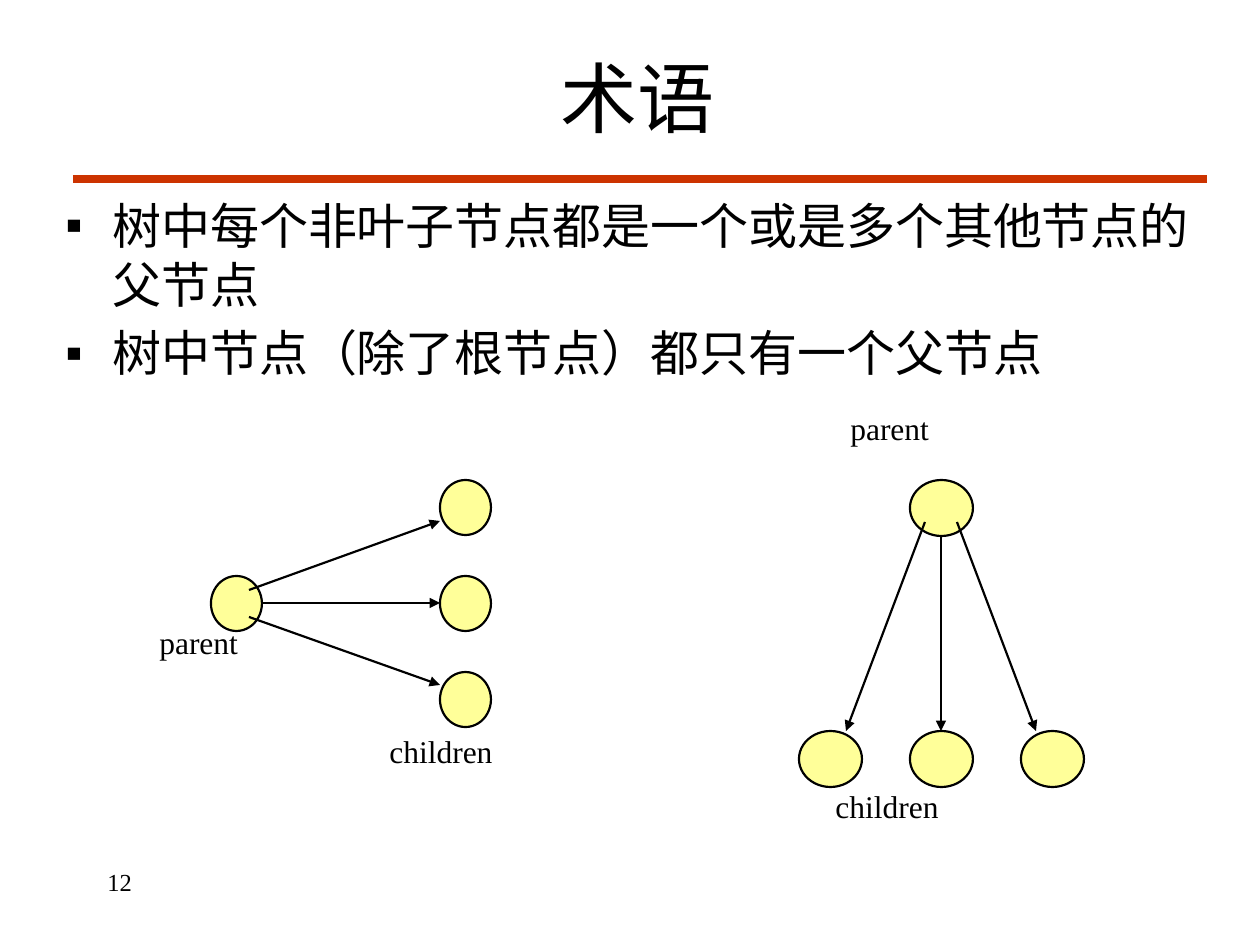
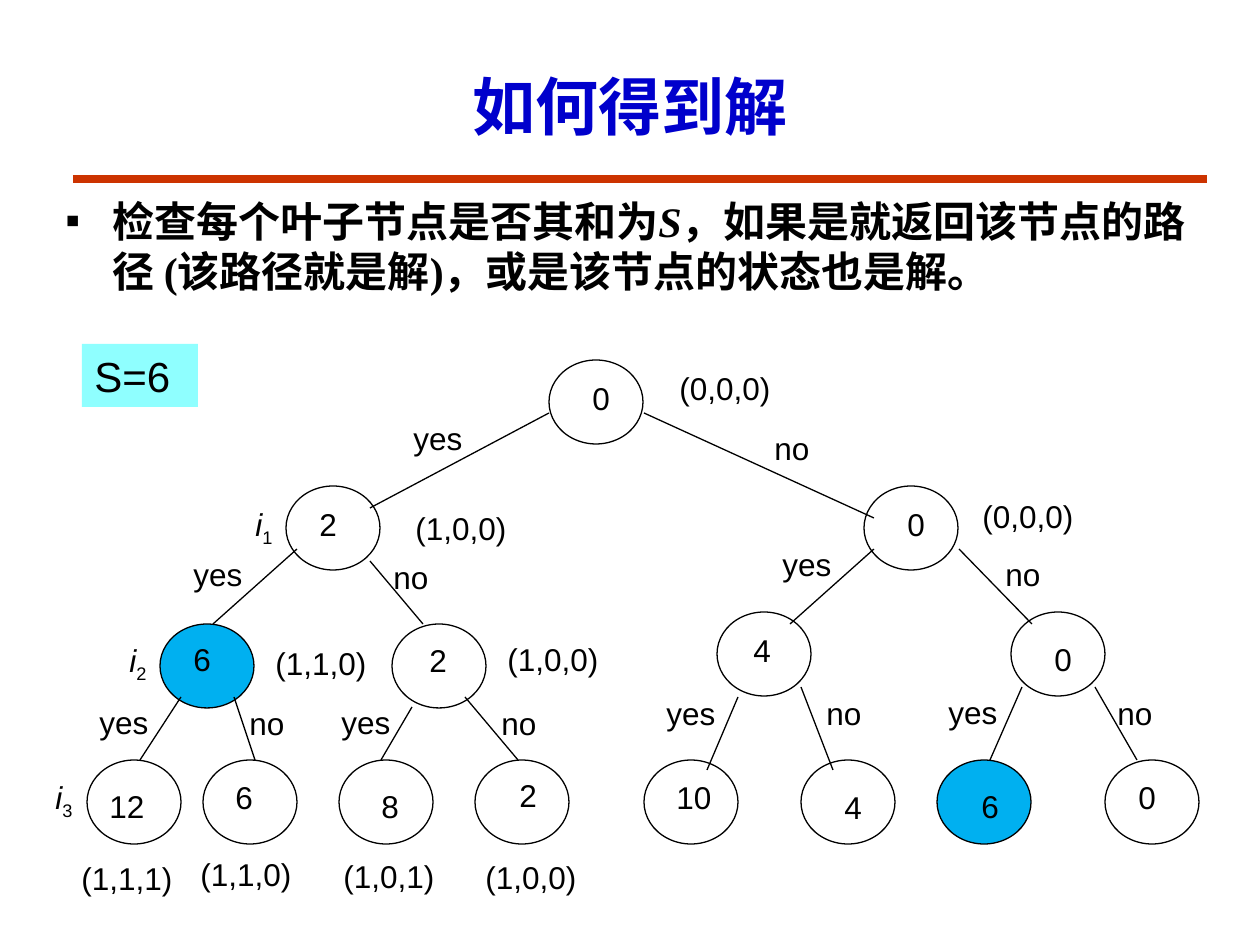
from lxml import etree
from pptx import Presentation, util as u
from pptx.dml.color import RGBColor
from pptx.enum import shapes, text
from pptx.oxml.ns import qn

COLORS = {"ink": "000000", "rule": "CC3300", "title": "0000CC",
          "parchment": "FFFF99", "answer": "00B0F0", "badge": "8FFFFF"}
SERIF = {"name": "Times New Roman", "size": u.Pt(18)}
SANS = {"name": "Arial", "size": u.Pt(18)}
PX = 914400 / 126


def write(box, paragraphs, style, wrap=True, color="ink", align=text.PP_ALIGN.LEFT,
          anchor=text.MSO_ANCHOR.TOP, bullet=None, space=0):
    frame = box.text_frame
    frame.word_wrap = wrap
    frame.vertical_anchor = anchor
    for index, spans in enumerate(paragraphs):
        para = frame.add_paragraph() if index else frame.paragraphs[0]
        para.alignment = align
        para.space_before = u.Pt(space)
        if bullet:
            props = para._p.get_or_add_pPr()
            props.set("marL", str(round(47 * PX)))
            props.set("indent", str(round(-47 * PX)))
            etree.SubElement(props, qn("a:buFont")).set("typeface", "Arial")
            etree.SubElement(props, qn("a:buChar")).set("char", bullet)
        for words, extra in spans:
            span = para.add_run()
            span.text = words
            for key, value in {**style, **extra}.items():
                if key == "baseline":
                    span._r.get_or_add_rPr().set(key, value)
                else:
                    setattr(span.font, key, value)
            span.font.color.rgb = RGBColor.from_string(COLORS[color])


def px(*lengths):
    return [u.Emu(round(length * PX)) for length in lengths]


deck = Presentation()
deck.slide_width, deck.slide_height = px(1260, 945)
terms, solution = [deck.slides.add_slide(deck.slide_layouts[6]) for _ in range(2)]

headings = [
    (terms, (102, 18, 1071, 158), "术语", {"size": u.Pt(44)}, "ink"),
    (solution, (95, 42, 1071, 126), "如何得到解", {"size": u.Pt(36), "bold": True}, "title"),
]
for page, place, words, extra, color in headings:
    write(page.shapes.add_textbox(*px(*place)), [[(words, extra)]], SERIF, color=color,
          align=text.PP_ALIGN.CENTER, anchor=text.MSO_ANCHOR.MIDDLE)

bodies = [
    (terms, (53, 189, 1182, 306), 28, False, 5.6, [
        [("树中每个非叶子节点都是一个或是多个其他节点的父节点", {})],
        [("树中节点（除了根节点）都只有一个父节点", {})]]),
    (solution, (53, 189, 1155, 703), 24, True, 4, [
        [("检查每个叶子节点是否其和为", {}), ("S", {"italic": True}),
         ("，如果是就返回该节点的路径 (该路径就是解)，或是该节点的状态也是解。", {})]]),
]
for page, place, size, bold, space, paragraphs in bodies:
    write(page.shapes.add_textbox(*px(*place)), paragraphs,
          {**SERIF, "size": u.Pt(size), "bold": bold}, bullet="▪", space=space)

tree_nodes = [
    (549, 360, "0", 580, 373), (286, 486, "2", 307, 499), (864, 486, "0", 895, 499),
    (717, 612, "4", 741, 625), (1011, 612, "0", 1042, 634), (160, 624, "6", 181, 634),
    (392, 624, "2", 417, 635), (87, 760, "12", 97, 781), (203, 760, "6", 223, 772),
    (339, 760, "8", 369, 781), (475, 760, "2", 507, 770), (644, 760, "10", 664, 772),
    (801, 760, "4", 832, 782), (937, 760, "6", 969, 781), (1105, 760, "0", 1126, 772),
]
answers = [(160, 624), (937, 760)]
discs = [(terms, (211, 576, 51, 55), "parchment", 1.25),
         (terms, (910, 480, 63, 56), "parchment", 1.25)]
for child in range(3):
    discs.append((terms, (440, 480 + 96 * child, 51, 55), "parchment", 1.25))
    discs.append((terms, (799 + 111 * child, 731, 63, 56), "parchment", 1.25))
for left, top, *_ in tree_nodes:
    fill = "answer" if (left, top) in answers else None
    discs.append((solution, (left, top, 94, 84), fill, 0.75))
for page, place, fill, weight in discs:
    disc = page.shapes.add_shape(shapes.MSO_SHAPE.OVAL, *px(*place))
    disc.shadow.inherit = False
    if fill:
        disc.fill.solid()
        disc.fill.fore_color.rgb = RGBColor.from_string(COLORS[fill])
    else:
        disc.fill.background()
    disc.line.color.rgb = RGBColor.from_string(COLORS["ink"])
    disc.line.width = u.Pt(weight)

arrows = [
    (262, 603, 440, 603), (249, 590, 440, 521), (249, 617, 440, 685),
    (941, 536, 941, 731), (957, 522, 1036, 731), (925, 522, 846, 731),
]
branches = [
    (549, 413, 370, 508), (644, 413, 874, 518), (297, 549, 213, 624), (370, 561, 423, 624),
    (874, 549, 790, 624), (959, 549, 1032, 624), (181, 697, 140, 760), (234, 697, 255, 760),
    (412, 707, 381, 760), (465, 697, 518, 760), (738, 697, 707, 770), (801, 687, 833, 770),
    (1022, 687, 990, 760), (1095, 687, 1137, 760),
]
links = [(page, (73, 179, 1207, 179), "rule", 4.5, False) for page in (terms, solution)]
links += [(terms, ends, "ink", 1.25, True) for ends in arrows]
links += [(solution, ends, "ink", 0.75, False) for ends in branches]
for page, ends, color, weight, arrow in links:
    link = page.shapes.add_connector(shapes.MSO_CONNECTOR.STRAIGHT, *px(*ends))
    link.line.color.rgb = RGBColor.from_string(COLORS[color])
    link.line.width = u.Pt(weight)
    if arrow:
        etree.SubElement(link.line._get_or_add_ln(), qn("a:tailEnd")).set("type", "triangle")
    etree.SubElement(link._element.spPr, qn("a:effectLst"))

captions = [
    ("parent", (147, 617, 192, 82), 18), ("children", (377, 726, 217, 82), 18),
    ("parent", (838, 403, 238, 84), 18), ("children", (823, 781, 270, 84), 18),
    ("12", (95, 861, 262, 63), 14),
]
for words, place, size in captions:
    write(terms.shapes.add_textbox(*px(*place)), [[(words, {"size": u.Pt(size)})]], SERIF)

label_spots = {
    "yes": [(401, 413), (181, 549), (87, 697), (770, 539), (654, 688), (936, 687), (329, 697)],
    "no": [(762, 423), (381, 552), (489, 698), (993, 549), (1105, 688), (814, 688), (237, 698)],
    "(0,0,0)": [(667, 363), (970, 491)],
    "(1,0,0)": [(403, 503), (495, 634), (473, 852)],
    "(1,1,0)": [(263, 638), (188, 849)],
    "(1,1,1)": [(69, 853)],
    "(1,0,1)": [(331, 851)],
}
widths = {1: 43, 2: 60, 3: 74, 7: 129}
labels = [(words, *spot) for words, spots in label_spots.items() for spot in spots]
labels += [node[2:] for node in tree_nodes]
for words, left, top in labels:
    box = solution.shapes.add_textbox(*px(left, top, widths[len(words)], 50))
    write(box, [[(words, {})]], SANS, wrap=len(words) == 7)

for level, (left, top) in enumerate([(243, 499), (117, 635), (43, 772)], 1):
    box = solution.shapes.add_textbox(*px(left, top, 44, 50))
    write(box, [[("i", {"italic": True}), (str(level), {"baseline": "-25000"})]], SANS, wrap=False)

badge = solution.shapes.add_shape(shapes.MSO_SHAPE.RECTANGLE, *px(82, 344, 116, 63))
badge.shadow.inherit = False
badge.fill.solid()
badge.fill.fore_color.rgb = RGBColor.from_string(COLORS["badge"])
badge.line.fill.background()
write(badge, [[("S=6", {"size": u.Pt(24)})]], SANS)

deck.save("out.pptx")
